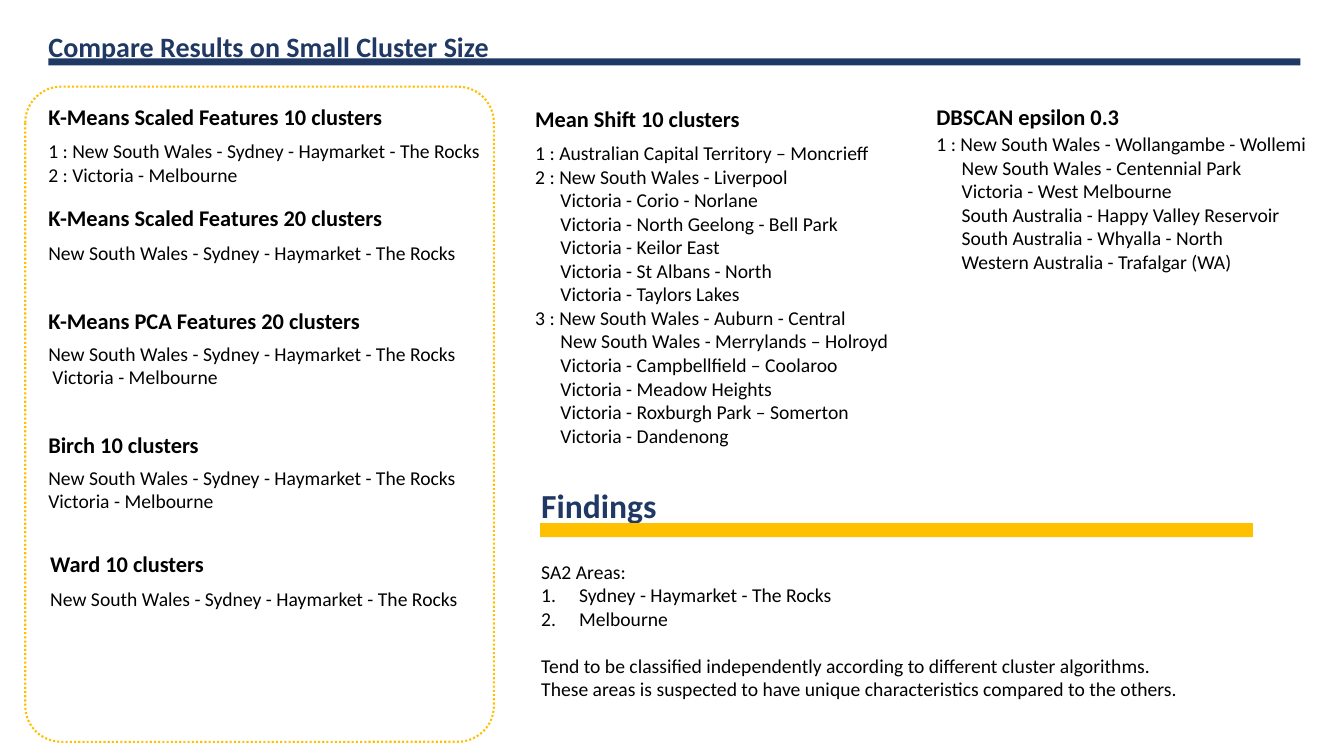
from lxml.etree import SubElement
from pptx import Presentation
from pptx.dml.color import RGBColor
from pptx.enum.dml import MSO_LINE
from pptx.enum.shapes import MSO_SHAPE as SHAPE
from pptx.enum.text import MSO_ANCHOR, MSO_AUTO_SIZE, PP_ALIGN
from pptx.oxml.ns import qn
from pptx.util import Pt

NAVY, GOLD, BLACK = "203864", "FFC000", "000000"
LEFT, MIDDLE, RIGHT = 27.4, 375.1, 661.7
ROCKS = "New South Wales - Sydney - Haymarket - The Rocks"

SIDEBAR = [
    (LEFT, 69.8, 95.8, "K-Means Scaled Features 10 clusters",
     [f"1 : {ROCKS}", "2 : Victoria - Melbourne"], 0),
    (LEFT, 142.6, 168.5, "K-Means Scaled Features 20 clusters", [ROCKS], 0),
    (LEFT, 216, 240.5, "K-Means PCA Features 20 clusters",
     [ROCKS, "Victoria - Melbourne"], 3),
    (LEFT, 304.6, 329, "Birch 10 clusters", [ROCKS, "Victoria - Melbourne"], 0),
    (28.8, 389.5, 415.4, "Ward 10 clusters", [ROCKS], 0),
]
MEAN_SHIFT = [
    ["1 : Australian Capital Territory – Moncrieff"],
    ["2 : New South Wales - Liverpool", "Victoria - Corio - Norlane",
     "Victoria - North Geelong - Bell Park", "Victoria - Keilor East",
     "Victoria - St Albans - North", "Victoria - Taylors Lakes"],
    ["3 : New South Wales - Auburn - Central",
     "New South Wales - Merrylands – Holroyd",
     "Victoria - Campbellfield – Coolaroo", "Victoria - Meadow Heights",
     "Victoria - Roxburgh Park – Somerton", "Victoria - Dandenong"],
]
DBSCAN = [
    ["1 : New South Wales - Wollangambe - Wollemi",
     "New South Wales - Centennial Park", "Victoria - West Melbourne",
     "South Australia - Happy Valley Reservoir",
     "South Australia - Whyalla - North", "Western Australia - Trafalgar (WA)"],
]
FINDINGS = [
    ("SA2 Areas:", 0, False, 0),
    ("Sydney - Haymarket - The Rocks", 27, True, 0),
    ("Melbourne", 27, True, 0),
    ("Tend to be classified independently according to different cluster algorithms.",
     0, False, 17),
    ("These areas is suspected to have unique characteristics compared to the others.",
     0, False, 0),
]


def rgb(value):
    return RGBColor.from_string(value)


def place(sp, x, y, w, h):
    sp.left, sp.top, sp.width, sp.height = Pt(x), Pt(y), Pt(w), Pt(h)


def write(sp, lines, size=14, color=BLACK, bold=False):
    tf = sp.text_frame
    tf.word_wrap = True
    tf.auto_size = MSO_AUTO_SIZE.NONE
    tf.vertical_anchor = MSO_ANCHOR.TOP
    tf.text = "\n".join(text for text, *_ in lines)
    for p, (_, indent, numbered, before) in zip(tf.paragraphs, lines):
        pPr = p._p.get_or_add_pPr()
        pPr.set("marL", str(Pt(indent)))
        pPr.set("indent", str(Pt(-indent if numbered else 0)))
        if numbered:
            SubElement(pPr, qn("a:buFont"), typeface="+mj-lt")
            SubElement(pPr, qn("a:buAutoNum"), type="arabicPeriod")
        else:
            SubElement(pPr, qn("a:buNone"))
        p.alignment = PP_ALIGN.LEFT
        p.space_before = Pt(before)
        for r in p.runs:
            r.font.name = "Calibri"
            r.font.size = Pt(size)
            r.font.bold = bold
            r.font.color.rgb = rgb(color)


def plain(text, indent=0):
    return (text, indent, False, 0)


def cluster_lines(clusters, indent=18):
    return [plain(area, indent if i else 0)
            for areas in clusters for i, area in enumerate(areas)]


def add_text(slide, box, lines, **style):
    sp = slide.shapes.add_textbox(*map(Pt, box))
    write(sp, lines, **style)


def add_heading(slide, x, y, text):
    add_text(slide, (x, y, 290, 26.6), [plain(text)], size=16, bold=True)


def fill_placeholder(sp, box, lines, **style):
    place(sp, *box)
    write(sp, lines, **style)


def add_bar(slide, box, color):
    sp = slide.shapes.add_shape(SHAPE.RECTANGLE, *map(Pt, box))
    sp.shadow.inherit = False
    sp.fill.solid()
    sp.fill.fore_color.rgb = rgb(color)
    sp.line.fill.background()


def add_panel(slide, box):
    sp = slide.shapes.add_shape(SHAPE.ROUNDED_RECTANGLE, *map(Pt, box))
    sp.adjustments[0] = 0.077
    sp.shadow.inherit = False
    sp.fill.background()
    sp.line.color.rgb = rgb(GOLD)
    sp.line.width = Pt(1.5)
    sp.line.dash_style = MSO_LINE.ROUND_DOT


def main():
    prs = Presentation()
    prs.slide_width, prs.slide_height = Pt(960), Pt(540)
    slide = prs.slides.add_slide(prs.slide_layouts.get_by_name("Comparison"))
    title, findings_title, mean_shift, findings, dbscan = list(slide.placeholders)[:5]

    fill_placeholder(title, (LEFT, 17.3, 925.2, 24.5),
                     [plain("Compare Results on Small Cluster Size")],
                     size=20, color=NAVY, bold=True)
    add_bar(slide, (34.6, 41.8, 894.2, 5), NAVY)

    add_panel(slide, (18, 61.9, 334.8, 468))
    for x, heading_y, list_y, heading, areas, indent in SIDEBAR:
        add_heading(slide, x, heading_y, heading)
        add_text(slide, (x, list_y, 329, 41), cluster_lines([areas], indent))

    add_heading(slide, MIDDLE, 71.3, "Mean Shift 10 clusters")
    fill_placeholder(mean_shift, (MIDDLE, 97.2, 275, 227.5),
                     cluster_lines(MEAN_SHIFT))
    add_heading(slide, RIGHT, 69.8, "DBSCAN epsilon 0.3")
    fill_placeholder(dbscan, (RIGHT, 90.7, 298, 108.7), cluster_lines(DBSCAN))

    add_bar(slide, (385.9, 373.7, 509, 10.1), GOLD)
    fill_placeholder(findings_title, (379.4, 342.7, 345.6, 40.3),
                     [plain("Findings")], size=24, color=NAVY, bold=True)
    fill_placeholder(findings, (379.4, 396, 501.1, 108.7), FINDINGS)

    prs.save("out.pptx")


if __name__ == "__main__":
    main()
